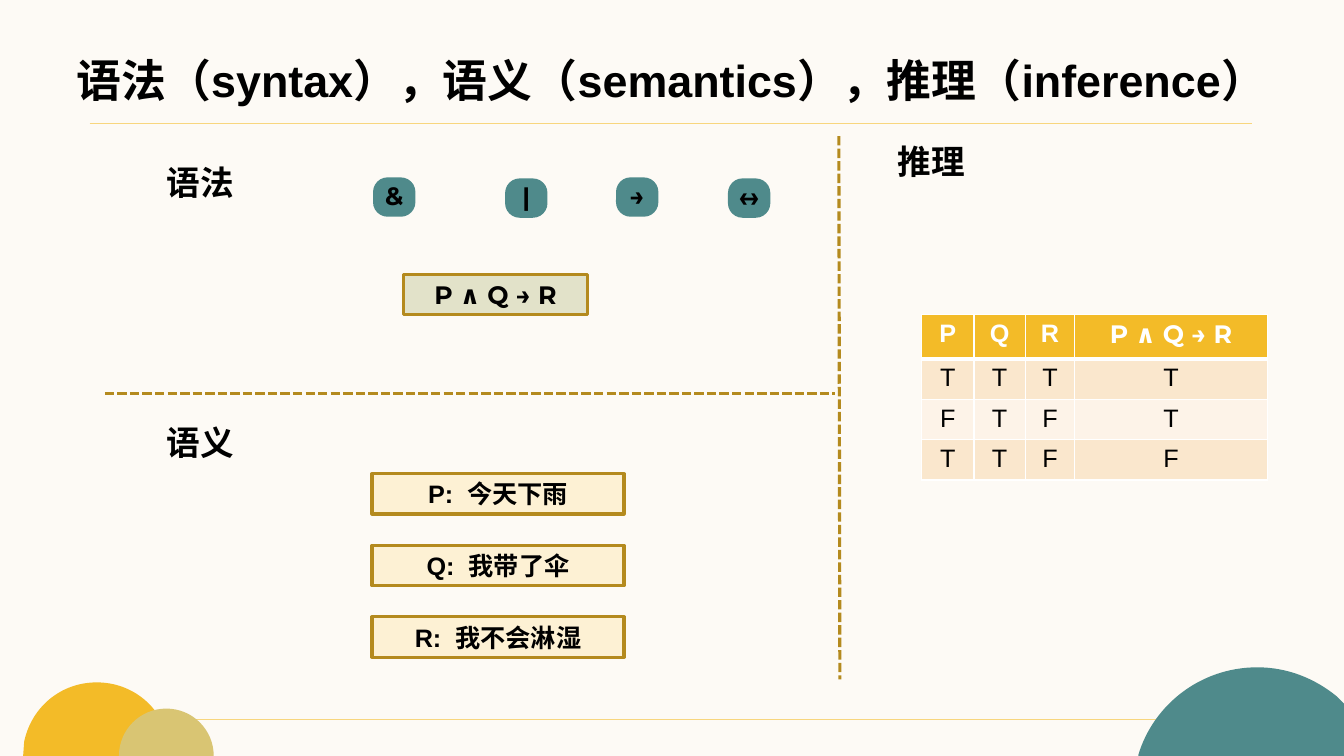
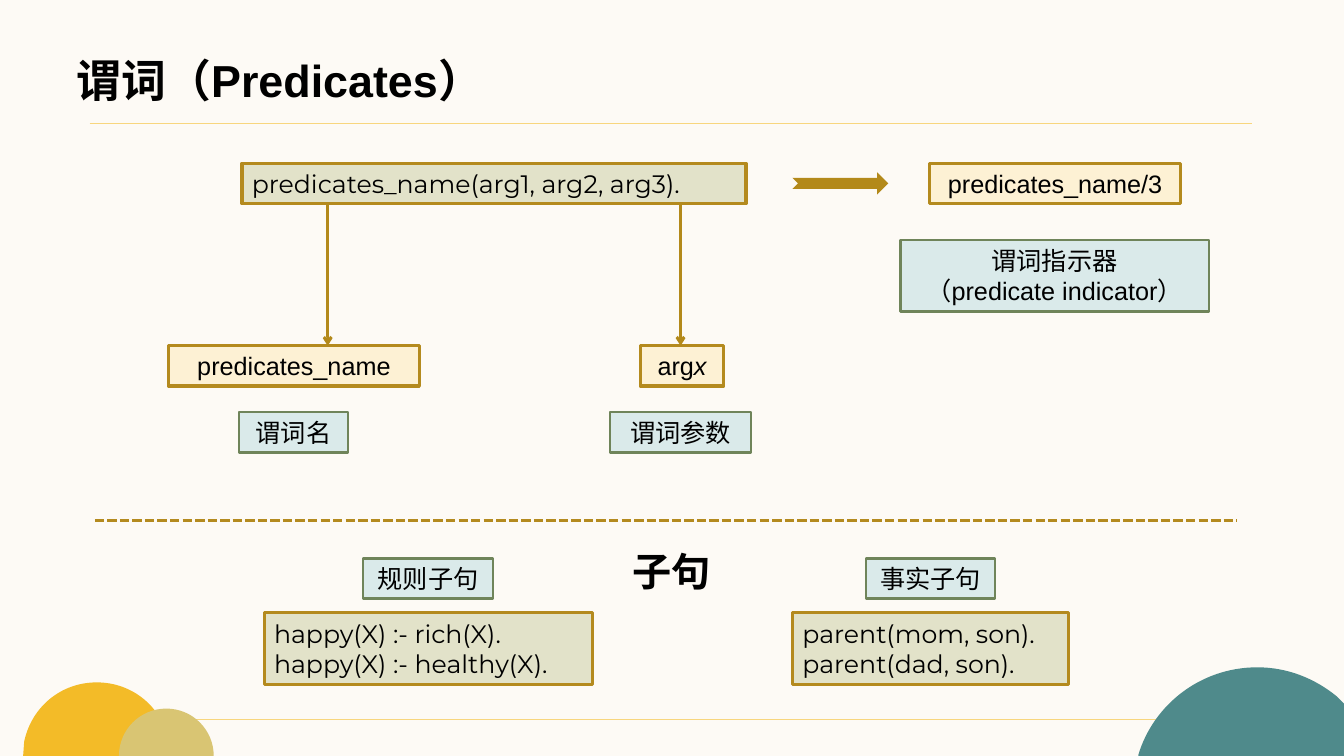
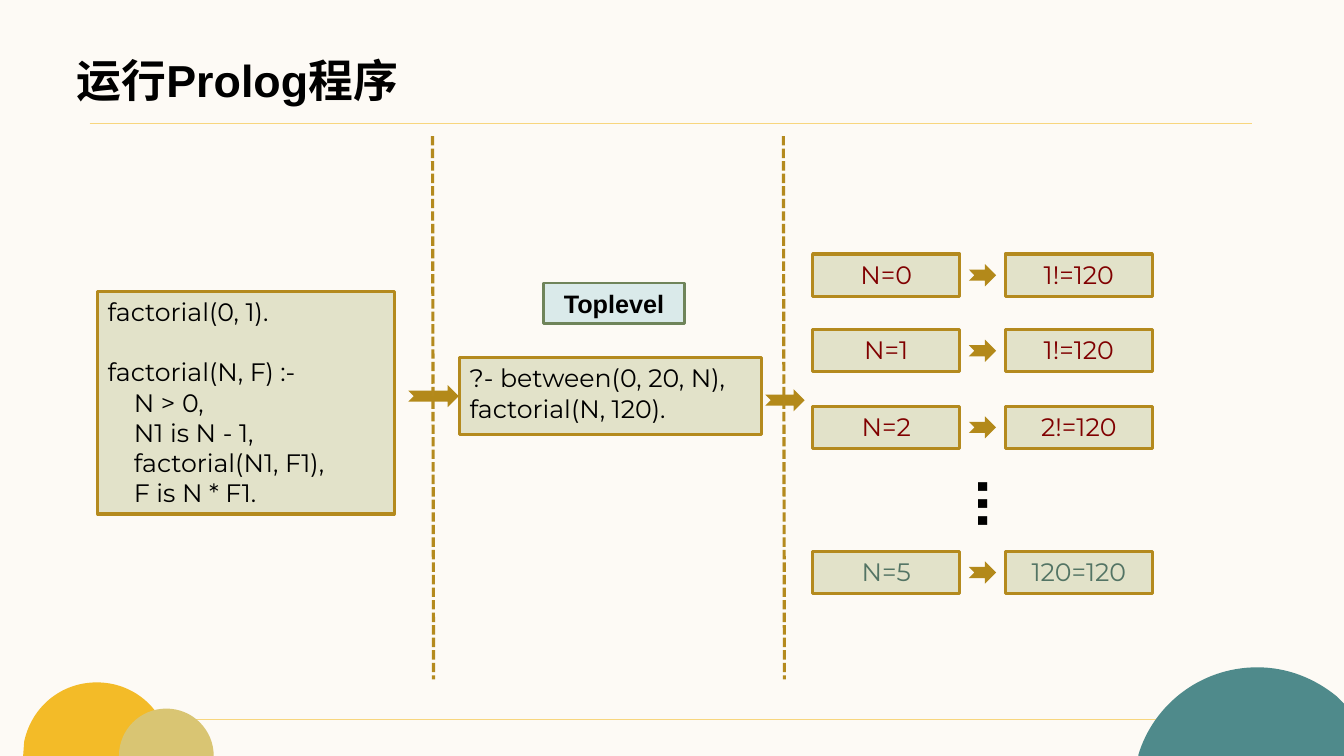
from copy import deepcopy
from lxml.etree import SubElement
from pptx import Presentation
from pptx.dml.color import RGBColor
from pptx.enum.dml import MSO_LINE
from pptx.enum.lang import MSO_LANGUAGE_ID
from pptx.enum.shapes import MSO_CONNECTOR, MSO_SHAPE
from pptx.enum.text import MSO_ANCHOR, PP_ALIGN
from pptx.oxml.ns import qn
from pptx.util import Inches, Pt

COLORS = {
    "paper": "FDFAF5", "ink": "000000", "white": "FFFFFF", "rule": "F8D67E",
    "yellow": "F3BB28", "sand": "D9C573", "teal": "4F8A8B",
    "gold": "B48A1E", "arrow": "B3891A", "olive": "E2E2C9", "cream": "FDF1D4",
    "mint": "DAEAEA", "moss": "6F845A", "fail": "800000", "success": "537464",
    "band_dark": "FAE7CD", "band_light": "FDF3E8",
}
RGB = {name: RGBColor.from_string(value) for name, value in COLORS.items()}

RECT = MSO_SHAPE.RECTANGLE
STYLES = {
    "plain": (None, None, None, 0, "Arial"),
    "sign": (None, None, None, 0, "Montserrat"),
    "code": (RECT, "olive", "gold", 2.25, "Montserrat"),
    "example": (RECT, "cream", "gold", 2.25, "Arial"),
    "label": (RECT, "mint", "moss", 1.75, "Arial"),
    "tile": (MSO_SHAPE.ROUNDED_RECTANGLE, "teal", None, 0, "Montserrat"),
    "arrow": (MSO_SHAPE.NOTCHED_RIGHT_ARROW, "arrow", None, 0, "Arial"),
}
DASH = MSO_LINE.SQUARE_DOT


def put_box(slide, style, place, text="", size=18, bold=False, color="ink",
            align=PP_ALIGN.CENTER):
    preset, fill, outline, width, font_name = STYLES[style]
    bounds = [Inches(value) for value in place]
    if preset is None:
        box = slide.shapes.add_textbox(*bounds)
    else:
        box = slide.shapes.add_shape(preset, *bounds)
        box.shadow.inherit = False
        box.fill.solid()
        box.fill.fore_color.rgb = RGB[fill]
        if outline:
            box.line.color.rgb = RGB[outline]
            box.line.width = Pt(width)
        else:
            box.line.fill.background()
    frame = box.text_frame
    frame.word_wrap = True
    frame.vertical_anchor = MSO_ANCHOR.TOP
    frame.text = text
    for paragraph in frame.paragraphs:
        paragraph.alignment = align
        for run in paragraph.runs:
            run.font.name = font_name
            run.font.size = Pt(size)
            run.font.bold = bold
            run.font.color.rgb = RGB[color]
            run.font.language_id = MSO_LANGUAGE_ID.SIMPLIFIED_CHINESE
    return box


def put_line(slide, start, end, color="gold", width=2.25, dash=None):
    line = slide.shapes.add_connector(
        MSO_CONNECTOR.STRAIGHT, *[Inches(value) for value in start + end])
    line.line.color.rgb = RGB[color]
    line.line.width = Pt(width)
    if dash:
        line.line.dash_style = dash
    SubElement(line._element.spPr, qn("a:effectLst"))
    return line


deck = Presentation()
deck.slide_width = Inches(13.33)
deck.slide_height = Inches(7.5)

titles = ["语法（syntax），语义（semantics），推理（inference）",
          "谓词（Predicates）", "运行Prolog程序"]
domes = [
    ("yellow", (0.96, 6.77),
     [[(1.32, 6.77), (1.61, 7.02), (1.68, 7.36)], [(1.69, 7.5)], [(0.23, 7.5)],
      [(0.24, 7.36)], [(0.31, 7.02), (0.6, 6.77), (0.96, 6.77)]]),
    ("sand", (1.65, 7.03),
     [[(1.39, 7.03), (1.18, 7.24), (1.18, 7.5)], [(2.12, 7.5)],
      [(2.12, 7.24), (1.91, 7.03), (1.65, 7.03)]]),
    ("teal", (12.47, 6.62),
     [[(12.77, 6.62), (13.04, 6.73), (13.26, 6.91)], [(13.33, 6.98)], [(13.33, 7.5)],
      [(11.29, 7.5)], [(11.29, 7.49)],
      [(11.44, 6.99), (11.91, 6.62), (12.47, 6.62)]]),
]
slides = []
for title in titles:
    slide = deck.slides.add_slide(deck.slide_layouts[6])
    slide.background.fill.solid()
    slide.background.fill.fore_color.rgb = RGB["paper"]
    put_line(slide, (0.89, 1.22), (12.42, 1.22), "rule", 0.5)
    for color, start, segments in domes:
        outline = slide.shapes.build_freeform(*[Inches(value) for value in start])
        outline.add_line_segments(
            [(Inches(x), Inches(y)) for segment in segments for x, y in segment],
            close=True)
        dome = outline.convert_to_shape()
        dome.shadow.inherit = False
        dome.fill.solid()
        dome.fill.fore_color.rgb = RGB[color]
        dome.line.fill.background()
        steps = iter(list(dome._element.iter(qn("a:lnTo"))))
        for segment in segments:
            curve = next(steps)
            if len(segment) == 3:
                controls = [curve, next(steps), next(steps)]
                bezier = curve.getparent().makeelement(qn("a:cubicBezTo"))
                curve.addprevious(bezier)
                for control in controls:
                    bezier.append(control[0])
                    control.getparent().remove(control)
        if color == "yellow":
            put_line(slide, (1.69, 7.14), (11.55, 7.14), "rule", 0.5)
    heading = put_box(slide, "plain", (0.76, 0.39, 11.81, 0.79), title, 32, True,
                      align=PP_ALIGN.LEFT).text_frame
    heading.vertical_anchor = MSO_ANCHOR.MIDDLE
    heading.margin_left = heading.margin_right = 0
    heading.margin_top = heading.margin_bottom = 0
    slides.append(slide)
logic, predicates, running = slides

for section, left, top in [("语法", 1.26, 1.56), ("语义", 1.26, 4.14),
                           ("推理", 8.51, 1.35)]:
    put_box(logic, "plain", (left, top, 1.45, 0.5), section, 24, True)
put_line(logic, (8.32, 1.35), (8.33, 6.74), dash=DASH)
put_line(logic, (1.04, 3.9), (8.28, 3.9), dash=DASH)
for symbol, left, top in [("↔", 7.22, 1.77), ("&", 3.7, 1.76),
                          ("|", 5.01, 1.77), ("→", 6.11, 1.76)]:
    tile = put_box(logic, "tile", (left, top, 0.42, 0.39))
    tile.adjustments[0] = 0.37
    put_box(logic, "sign", (left, top - 0.02, 0.42, 0.4), symbol, bold=True)
formula = "P ∧ Q → R"
put_box(logic, "code", (4, 2.72, 1.83, 0.4), formula, bold=True)
meanings = [("P:", "今天下雨"), ("Q:", "我带了伞"), ("R:", "我不会淋湿")]
for row, (letter, meaning) in enumerate(meanings):
    sentence = put_box(logic, "example", (3.69, 4.7 + 0.71 * row, 2.5, 0.4),
                       letter, bold=True).text_frame.paragraphs[0]
    letter_run = sentence.runs[0]._r
    for part in (meaning, " "):
        letter_run.addnext(deepcopy(letter_run))
        sentence.runs[1].text = part
    sentence.runs[1].font._rPr.set("spc", "500")

truth_rows = [["P", "Q", "R", formula], "TTTT", "FTFT", "TTFF"]
row_fills = ["yellow", "band_dark", "band_light", "band_dark"]
truth_table = logic.shapes.add_table(
    4, 4, Inches(9.14), Inches(3.12), Inches(3.43), Inches(1.64)).table
for column, width in zip(truth_table.columns, [0.52, 0.51, 0.49, 1.91]):
    column.width = Inches(width)
for row, values in enumerate(truth_rows):
    truth_table.rows[row].height = Inches(0.4 if row else 0.44)
    for column, value in enumerate(values):
        cell = truth_table.cell(row, column)
        edges = {"lnL": 1, "lnR": 1, "lnT": 3 if row == 1 else 1,
                 "lnB": 1 if row else 3}
        for edge, points in edges.items():
            border = SubElement(cell._tc.get_or_add_tcPr(), qn(f"a:{edge}"),
                                w=str(Pt(points)))
            border_fill = SubElement(border, qn("a:solidFill"))
            SubElement(border_fill, qn("a:srgbClr"), val=COLORS["white"])
        cell.fill.solid()
        cell.fill.fore_color.rgb = RGB[row_fills[row]]
        cell.text_frame.text = value
        paragraph = cell.text_frame.paragraphs[0]
        paragraph.alignment = PP_ALIGN.CENTER
        font = paragraph.runs[0].font
        font.name = "Montserrat" if value == formula else "Arial"
        font.size = Pt(18)
        font.bold = row == 0
        font.color.rgb = RGB["ink" if row else "white"]

put_box(predicates, "code", (2.4, 1.62, 5, 0.4),
        "predicates_name(arg1, arg2, arg3).", align=PP_ALIGN.LEFT)
put_box(predicates, "example", (1.67, 3.43, 2.49, 0.4), "predicates_name")
argument = put_box(predicates, "example", (6.35, 3.43, 0.83, 0.4),
                   "arg").text_frame.paragraphs[0]
argument.runs[0]._r.addnext(deepcopy(argument.runs[0]._r))
argument.runs[1].text = "x"
argument.runs[1].font.italic = True
put_box(predicates, "example", (9.22, 1.62, 2.49, 0.4), "predicates_name/3")
for x in (3.25, 6.75):
    pointer = put_line(predicates, (x, 2.03), (x, 3.43), "arrow", 2)
    SubElement(pointer.line._get_or_add_ln(), qn("a:tailEnd"), type="arrow")
put_box(predicates, "arrow", (7.86, 1.71, 0.95, 0.22))
labels = [
    ("谓词名", (2.37, 4.09, 1.08, 0.4)),
    ("谓词参数", (6.05, 4.09, 1.4, 0.4)),
    ("谓词指示器\n（predicate indicator）", (8.93, 2.38, 3.06, 0.71)),
    ("事实子句", (8.59, 5.54, 1.28, 0.4)),
    ("规则子句", (3.6, 5.54, 1.29, 0.4)),
]
for label, place in labels:
    put_box(predicates, "label", place, label)
clauses = [
    ("happy(X) :- rich(X).\nhappy(X) :- healthy(X).", (2.62, 6.08, 3.26, 0.71)),
    ("parent(mom, son).\nparent(dad, son).", (7.86, 6.08, 2.74, 0.71)),
]
for clause, place in clauses:
    put_box(predicates, "code", place, clause, align=PP_ALIGN.LEFT)
put_line(predicates, (0.94, 5.16), (12.27, 5.16), dash=DASH)
put_box(predicates, "plain", (6.04, 5.38, 1.24, 0.57), "子句", 28, True)

program = put_box(
    running, "code", (0.97, 2.89, 2.94, 2.21),
    "factorial(0, 1).\nfactorial(N, F) :-\nN > 0,\nN1 is N - 1,\n"
    "factorial(N1, F1),\nF is N * F1.", align=PP_ALIGN.LEFT)
program_lines = program.text_frame.paragraphs
program_lines[1].space_before = Pt(21.6)
for body_line in program_lines[2:]:
    body_line._p.get_or_add_pPr().set("marL", str(Inches(0.26)))
put_box(running, "code", (4.56, 3.55, 2.99, 0.76),
        "?- between(0, 20, N),\nfactorial(N, 120).", align=PP_ALIGN.LEFT)
put_box(running, "arrow", (4.05, 3.82, 0.5, 0.22))
attempts = [("N=0", "1!=120", 2.52, "fail"), ("N=1", "1!=120", 3.27, "fail"),
            ("N=2", "2!=120", 4.03, "fail"), ("N=5", "120=120", 5.47, "success")]
for binding, check, top, color in attempts:
    put_box(running, "code", (8.06, top, 1.46, 0.42), binding, color=color)
    put_box(running, "arrow", (9.61, top + 0.1, 0.27, 0.22))
    put_box(running, "code", (9.97, top, 1.46, 0.42), check, color=color)
ellipsis = put_box(running, "plain", (9.43, 4.65, 0.94, 0.85), "...", 44, True,
                   align=PP_ALIGN.LEFT)
ellipsis.text_frame._txBody.bodyPr.set("vert", "eaVert")
put_box(running, "arrow", (7.59, 3.86, 0.39, 0.22))
for x in (7.77, 4.29):
    put_line(running, (x, 1.35), (x + 0.01, 6.74), dash=DASH)
put_box(running, "label", (5.39, 2.81, 1.4, 0.4), "Toplevel", bold=True)

deck.save("out.pptx")
